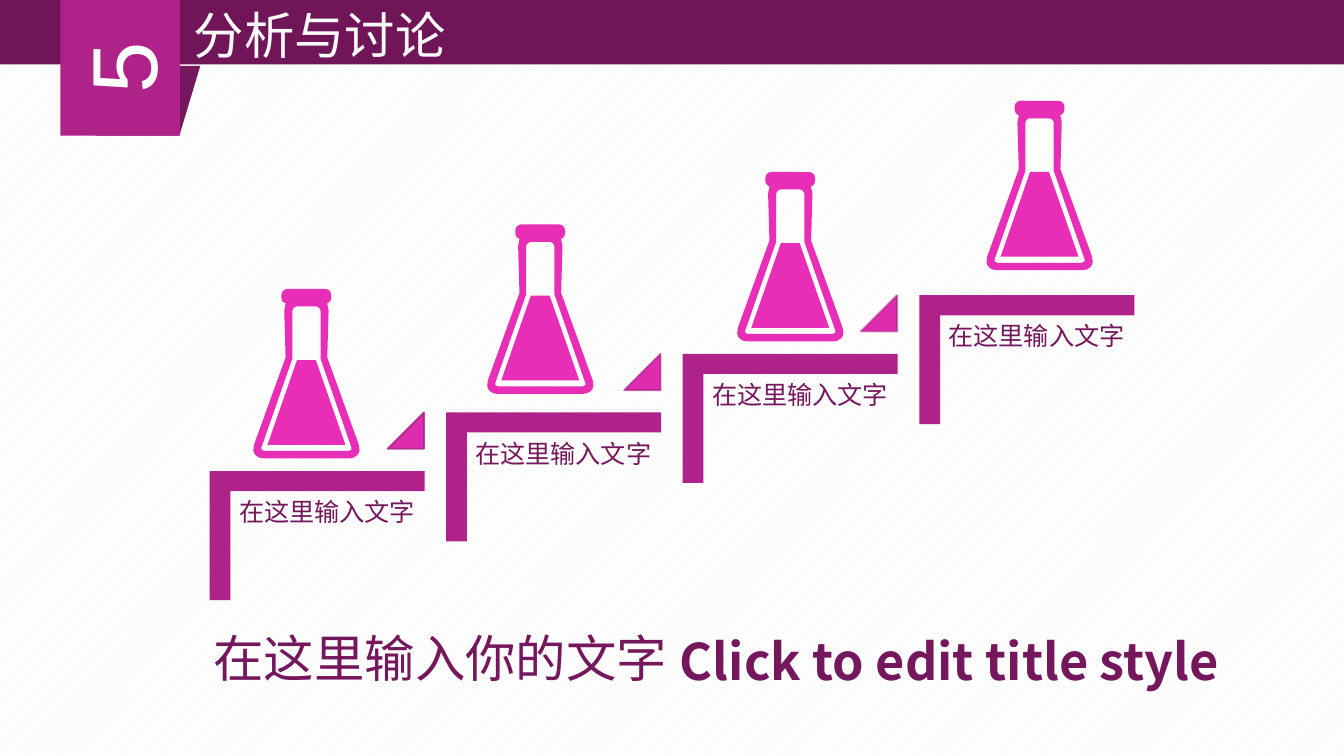
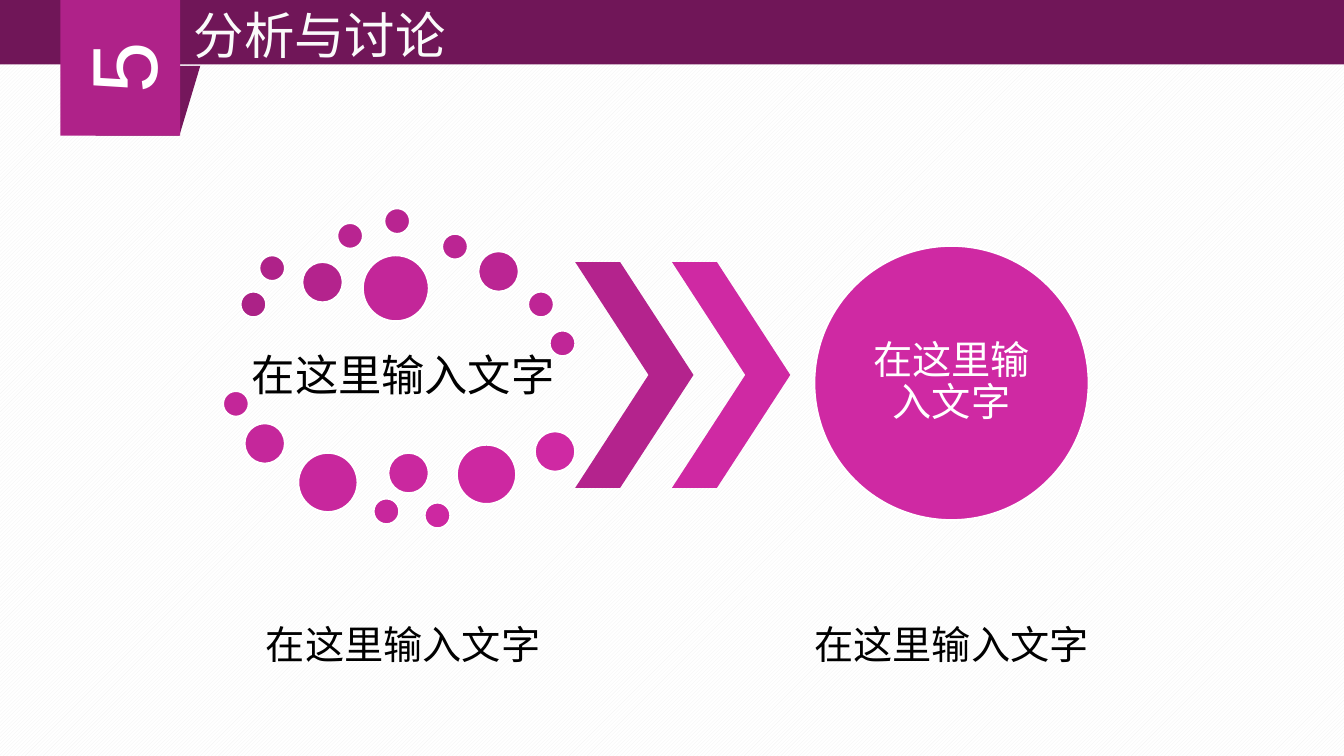
from lxml.etree import SubElement
from pptx import Presentation
from pptx.dml.color import RGBColor
from pptx.enum.dml import MSO_PATTERN
from pptx.enum.shapes import MSO_SHAPE
from pptx.enum.text import MSO_ANCHOR, MSO_AUTO_SIZE, PP_ALIGN
from pptx.oxml.ns import qn
from pptx.util import Inches, Pt

WHITE = RGBColor(0xFF, 0xFF, 0xFF)
BLACK = RGBColor(0x00, 0x00, 0x00)
STRIPE = RGBColor(0xF2, 0xF2, 0xF2)
TITLE = RGBColor(0xFA, 0xFA, 0xFA)
BAND = RGBColor(0x70, 0x16, 0x58)
PLUM = RGBColor(0x75, 0x17, 0x5C)
PURPLE = RGBColor(0xAF, 0x22, 0x89)
FLASK = RGBColor(0xE8, 0x2E, 0xB6)
ARROW = RGBColor(0xDE, 0x2C, 0xAF)
ARROW_EDGE = RGBColor(0xA7, 0x21, 0x83)
# Fifteen even steps from dark to bright magenta
TINTS = [RGBColor(0xAC + int(2.5 * k + 0.5), 0x22 + k // 2, 0x87 + 2 * k) for k in range(15)]

SANS = "Noto Sans CJK SC"
LABEL = "在这里输入文字"

prs = Presentation()
prs.slide_width = Inches(10)
prs.slide_height = Inches(5.625)
U = prs.slide_width // 100  # square grid cell; all lengths below are in cells


def add(s, kind, x, y, w, h, fill=None, line=None):
    """Add a preset shape, or a text box when kind is None."""
    box = [int(U * v) for v in (x, y, w, h)]
    if kind is None:
        return s.shapes.add_textbox(*box)
    sp = s.shapes.add_shape(kind, *box)
    sp.shadow.inherit = False
    sp.fill.solid()
    sp.fill.fore_color.rgb = fill
    if line is None:
        sp.line.fill.background()
    else:
        sp.line.color.rgb = line
        sp.line.width = Pt(1)
    return sp


def write(sp, text, size, color, font=SANS, align=PP_ALIGN.LEFT, anchor=MSO_ANCHOR.TOP,
          inset=None, spacing=None, bold=False):
    tf = sp.text_frame
    tf.word_wrap = True
    tf.auto_size = MSO_AUTO_SIZE.NONE
    tf.vertical_anchor = anchor
    if inset is not None:
        tf.margin_left = tf.margin_right = tf.margin_top = tf.margin_bottom = int(U * inset)
    p = tf.paragraphs[0]
    p.alignment = align
    p.line_spacing = spacing
    r = p.add_run()
    r.text = text
    r.font.size = Pt(size)
    r.font.bold = bold
    r.font.color.rgb = color
    r.font.name = font
    SubElement(r._r.get_or_add_rPr(), qn("a:ea")).set("typeface", font)


# Shared background, band, title and number tab
slides = []
for _ in range(2):
    s = prs.slides.add_slide(prs.slide_layouts[5])
    slides.append(s)
    bg = s.background.fill
    bg.patterned()
    bg.pattern = MSO_PATTERN.LIGHT_UPWARD_DIAGONAL
    bg.fore_color.rgb = STRIPE
    bg.back_color.rgb = WHITE

    band = add(s, MSO_SHAPE.RECTANGLE, 0, -0.1, 100, 4.9, BAND)
    title = s.shapes.title
    title.left, title.top = int(U * 11), int(U * -0.2)
    title.width, title.height = int(U * 25.6), int(U * 5.6)
    write(title, "分析与讨论", 27, TITLE, "Arial", PP_ALIGN.CENTER)
    band.element.addnext(title.element)

    fold = add(s, MSO_SHAPE.FLOWCHART_DATA, 7.1, 4.9, 7.8, 5.2, PLUM)
    fold.rotation = 180
    tab = add(s, MSO_SHAPE.RECTANGLE, 3.9, 0.6, 10.1, 8.9, PURPLE)
    tab.rotation = 270
    write(tab, "5", 49.5, WHITE, "Arial", PP_ALIGN.CENTER, MSO_ANCHOR.MIDDLE)

# Slide 1: staircase of flasks
s = slides[0]
BRACKET = [(0, 0), (16, 0), (16, 1.5), (1.55, 1.5), (1.55, 9.6), (0, 9.6)]
# Right halves of the flask's contours, from its centre line and top
GLASS = [(0.75, 0.7), (1.25, 0.8), (1.55, 1.1), (1.65, 1.6), (1.55, 5.1), (3.9, 11.6),
         (3.95, 12), (3.9, 12.2), (3.75, 12.4), (3.5, 12.55), (3.2, 12.6)]
HOLLOW = [(0.75, 1.3), (0.95, 1.4), (1.05, 1.6), (1.05, 5.2), (3.35, 11.8),
          (3.35, 11.95), (3.15, 12.05)]
LIQUID = [(0.7, 5.3), (2.9, 11.6)]
glass, hollow, liquid = [half + [(-x, y) for x, y in reversed(half)]
                         for half in (GLASS, HOLLOW, LIQUID)]

FLASKS = [(22.8, 21.5), (40.2, 16.7), (58.8, 12.8), (77.35, 7.5)]
EDGE_ALPHA = [82, 68, 55]
for i, (cx, top) in enumerate(FLASKS):
    x, y = 15.6 + 17.6 * i, 35.05 - 4.36 * i
    for contours, ox, oy, color in (([BRACKET], x, y, PURPLE),
                                    ([glass, hollow], cx, top, FLASK),
                                    ([liquid], cx, top, FLASK)):
        fb = None
        for contour in contours:
            pts = [(int(U * (ox + px)), int(U * (oy + py))) for px, py in contour]
            if fb is None:
                fb = s.shapes.build_freeform(*pts[0])
            else:
                fb.move_to(*pts[0])
            fb.add_line_segments(pts[1:], close=True)
        sp = fb.convert_to_shape()
        sp.shadow.inherit = False
        sp.fill.solid()
        sp.fill.fore_color.rgb = color
        sp.line.fill.background()
    cap = add(s, MSO_SHAPE.ROUNDED_RECTANGLE, cx - 1.85, top, 3.7, 1.1, FLASK)
    cap.adjustments[0] = 0.4
    write(add(s, None, x + 1.6, y + 1.55, 14.4, 12.6), LABEL, 13.5, PLUM, inset=0.6, spacing=0.9)
    # Step-up triangle, its edge fading along the stairs
    if i < len(EDGE_ALPHA):
        tri = add(s, MSO_SHAPE.ISOSCELES_TRIANGLE, x + 13.25, y - 4.36, 2.7, 2.7, ARROW, ARROW_EDGE)
        tri.adjustments[0] = 1
        edge = tri.line._ln.find(".//" + qn("a:srgbClr"))
        SubElement(edge, qn("a:alpha")).set("val", str(EDGE_ALPHA[i] * 1000))

# Closing line
write(add(s, None, 49.6, 46.4, 64, 8.6), "Click to edit title style", 27, PLUM, bold=True)
write(add(s, None, 14.9, 46.2, 53.6, 5.6), "在这里输入你的文字", 27, PLUM, "Arial")

# Slide 2: scattered dots, chevrons, one circle
s = slides[1]
SMALL, MEDIUM, LARGE, HUGE = 1.9, 3, 4.4, 4.9
DOTS = [  # left, top, diameter, tint
    (17.9, 21.7, SMALL, 0), (19.3, 19, SMALL, 1), (22.5, 19.5, MEDIUM, 3),
    (25.1, 16.6, SMALL, 5), (28.6, 15.5, SMALL, 5), (32.9, 17.4, SMALL, 6),
    (35.6, 18.7, MEDIUM, 6), (39.3, 21.7, SMALL, 7), (40.9, 24.6, SMALL, 8),
    (27, 19, HUGE, 9), (16.6, 29.1, SMALL, 9), (18.2, 31.5, MEDIUM, 10),
    (22.2, 33.7, LARGE, 11), (27.8, 37.1, SMALL, 11), (28.9, 33.7, MEDIUM, 12),
    (31.6, 37.4, SMALL, 13), (34, 33.1, LARGE, 13), (39.8, 32.1, MEDIUM, 14),
]
for x, y, d, tint in DOTS:
    add(s, MSO_SHAPE.OVAL, x, y, d, d, TINTS[tint], WHITE)

for x, tint in ((42.8, 3), (50, 14)):
    chevron = add(s, MSO_SHAPE.CHEVRON, x, 19.5, 8.8, 16.8, TINTS[tint])
    chevron.adjustments[0] = 0.62

add(s, MSO_SHAPE.OVAL, 60.6, 18.3, 20.4, 20.4, TINTS[14], WHITE)

# Labels: left, top, width, height, size, colour, inset
for x, y, w, h, size, color, inset in (
        (18, 24.1, 24, 7.9, 23.2, BLACK, 0.3),
        (18, 40.7, 24, 14.8, 21, BLACK, 0.3),
        (63.6, 21.3, 14.4, 14.4, 21, WHITE, 0),
        (58.8, 40.7, 24, 14.8, 21, BLACK, 0.3)):
    write(add(s, None, x, y, w, h), LABEL, size, color, align=PP_ALIGN.CENTER,
          anchor=MSO_ANCHOR.MIDDLE, inset=inset, spacing=0.9)

prs.save("out.pptx")
